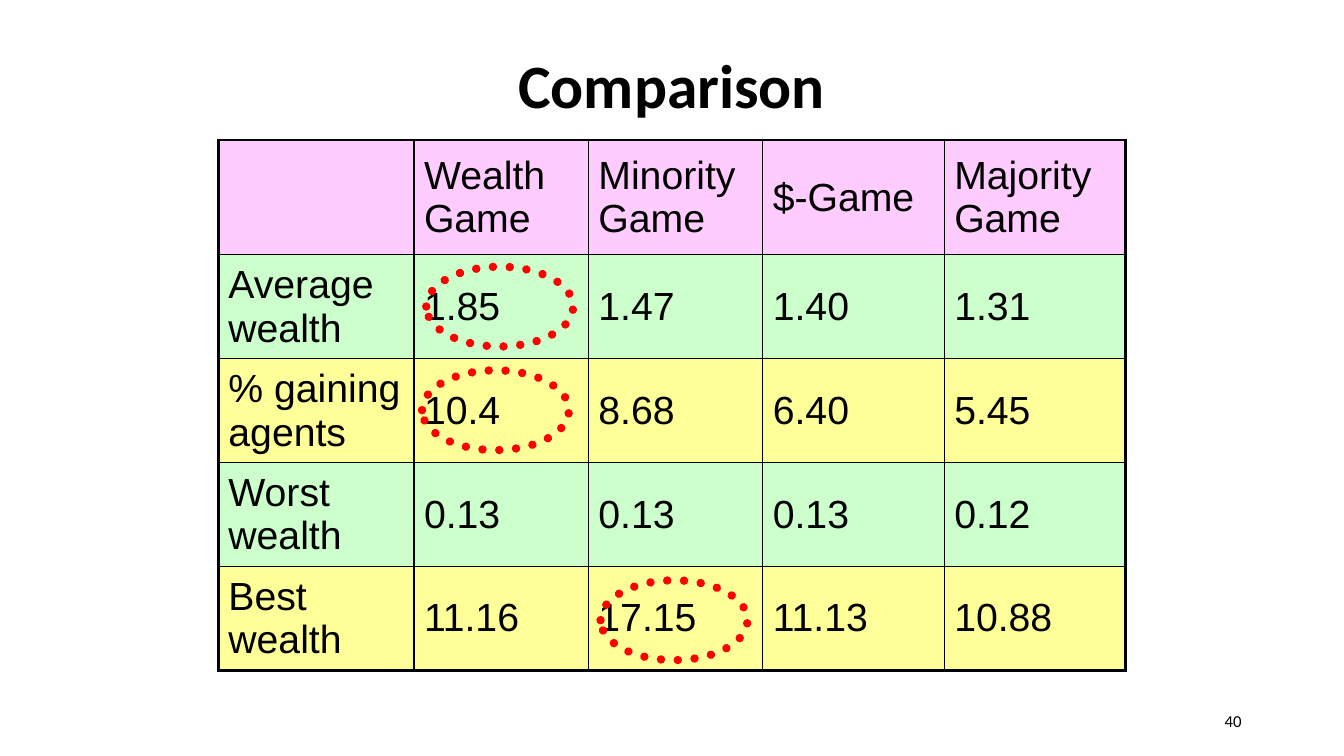
from dataclasses import dataclass

import pptx
import pptx.dml.color
import pptx.enum.shapes
import pptx.enum.text
import pptx.oxml
import pptx.oxml.ns
import pptx.slide
import pptx.table
import pptx.text.text
import pptx.util

Pt = pptx.util.Pt
ALIGN = pptx.enum.text.PP_ALIGN
MIDDLE = pptx.enum.text.MSO_ANCHOR.MIDDLE

PINK, GREEN, YELLOW = "FFCCFF", "CCFFCC", "FFFF99"
BLACK, RED = "000000", "FF0000"
INNER, OUTER = 1, 2.25


@dataclass
class Label:
    text: str
    left: float
    top: float
    width: float
    height: float
    size: float
    align: ALIGN
    bold: bool = False
    spacing: float = 1.0


@dataclass
class Row:
    texts: list[str]
    fill: str
    height: float = 74.2


@dataclass
class Ring:
    left: float
    top: float
    width: float = 105
    height: float = 57


LABELS = [
    Label("Comparison", 156, 9.5, 648, 108, 44, ALIGN.CENTER, True, 0.9),
    Label("40", 678, 500.5, 216, 28.8, 12, ALIGN.RIGHT),
]
COL_WIDTHS = [139.7, 124.6, 124.6, 129.6, 129.6]
ROWS = [
    Row(["", "Wealth Game", "Minority Game", "$-Game", "Majority Game"], PINK, 82),
    Row(["Average wealth", "1.85", "1.47", "1.40", "1.31"], GREEN),
    Row(["% gaining agents", "10.4", "8.68", "6.40", "5.45"], YELLOW),
    Row(["Worst wealth", "0.13", "0.13", "0.13", "0.12"], GREEN),
    Row(["Best wealth", "11.16", "17.15", "11.13", "10.88"], YELLOW),
]
RINGS = [Ring(304.5, 190.5), Ring(301.5, 264.5), Ring(429, 414.5)]


def rgb(color: str) -> pptx.dml.color.RGBColor:
    return pptx.dml.color.RGBColor.from_string(color)


def style(p: pptx.text.text._Paragraph, name: str, size: float, bold: bool = False) -> None:
    p.font.name, p.font.size, p.font.bold = name, Pt(size), bold
    p.font.color.rgb = rgb(BLACK)


def add_label(s: pptx.slide.Slide, label: Label) -> None:
    box = s.shapes.add_textbox(Pt(label.left), Pt(label.top), Pt(label.width), Pt(label.height))
    tf = box.text_frame
    tf.word_wrap, tf.vertical_anchor = True, MIDDLE
    p = tf.paragraphs[0]
    p.text, p.alignment, p.line_spacing = label.text, label.align, label.spacing
    style(p, "Calibri", label.size, label.bold)


def add_border(cell: pptx.table._Cell, side: str, width: float) -> None:
    cell._tc.get_or_add_tcPr().append(pptx.oxml.parse_xml(
        f'<a:ln{side} {pptx.oxml.ns.nsdecls("a")} w="{Pt(width)}"><a:solidFill>'
        f'<a:srgbClr val="{BLACK}"/></a:solidFill><a:prstDash val="solid"/></a:ln{side}>'))


def add_table(s: pptx.slide.Slide) -> None:
    last_row, last_col = len(ROWS) - 1, len(COL_WIDTHS) - 1
    height = sum(row.height for row in ROWS)
    table = s.shapes.add_table(len(ROWS), len(COL_WIDTHS), Pt(156), Pt(100),
                               Pt(sum(COL_WIDTHS)), Pt(height)).table
    table.first_row = table.horz_banding = False
    for column, width in zip(table.columns, COL_WIDTHS):
        column.width = Pt(width)
    for i, row in enumerate(ROWS):
        table.rows[i].height = Pt(row.height)
        for j, text in enumerate(row.texts):
            cell = table.cell(i, j)
            cell.text, cell.vertical_anchor = text, MIDDLE
            p = cell.text_frame.paragraphs[0]
            style(p, "Arial", 28)
            # Borders: heavy around the table, thin inside
            edges = {"L": j == 0, "R": j == last_col, "T": i == 0, "B": i == last_row}
            for side, is_outer in edges.items():
                add_border(cell, side, OUTER if is_outer else INNER)
            cell.fill.solid()
            cell.fill.fore_color.rgb = rgb(row.fill)


def add_ring(s: pptx.slide.Slide, ring: Ring) -> None:
    sp = s.shapes.add_shape(pptx.enum.shapes.MSO_SHAPE.OVAL, Pt(ring.left), Pt(ring.top),
                            Pt(ring.width), Pt(ring.height))
    sp.shadow.inherit = False
    sp.fill.background()
    sp.line.color.rgb, sp.line.width = rgb(RED), Pt(6)
    # Round dots
    ln = sp.line._get_or_add_ln()
    ln.set("cap", "rnd")
    ln.append(pptx.oxml.parse_xml(
        f'<a:prstDash {pptx.oxml.ns.nsdecls("a")} val="sysDot"/>'))


def main() -> None:
    prs = pptx.Presentation()
    prs.slide_width, prs.slide_height = Pt(960), Pt(540)
    s = prs.slides.add_slide(prs.slide_layouts[6])

    # Table of results, with the best values ringed
    add_table(s)
    for ring in RINGS:
        add_ring(s, ring)

    # Title and slide number
    for label in LABELS:
        add_label(s, label)
    prs.save("out.pptx")


if __name__ == "__main__":
    main()
